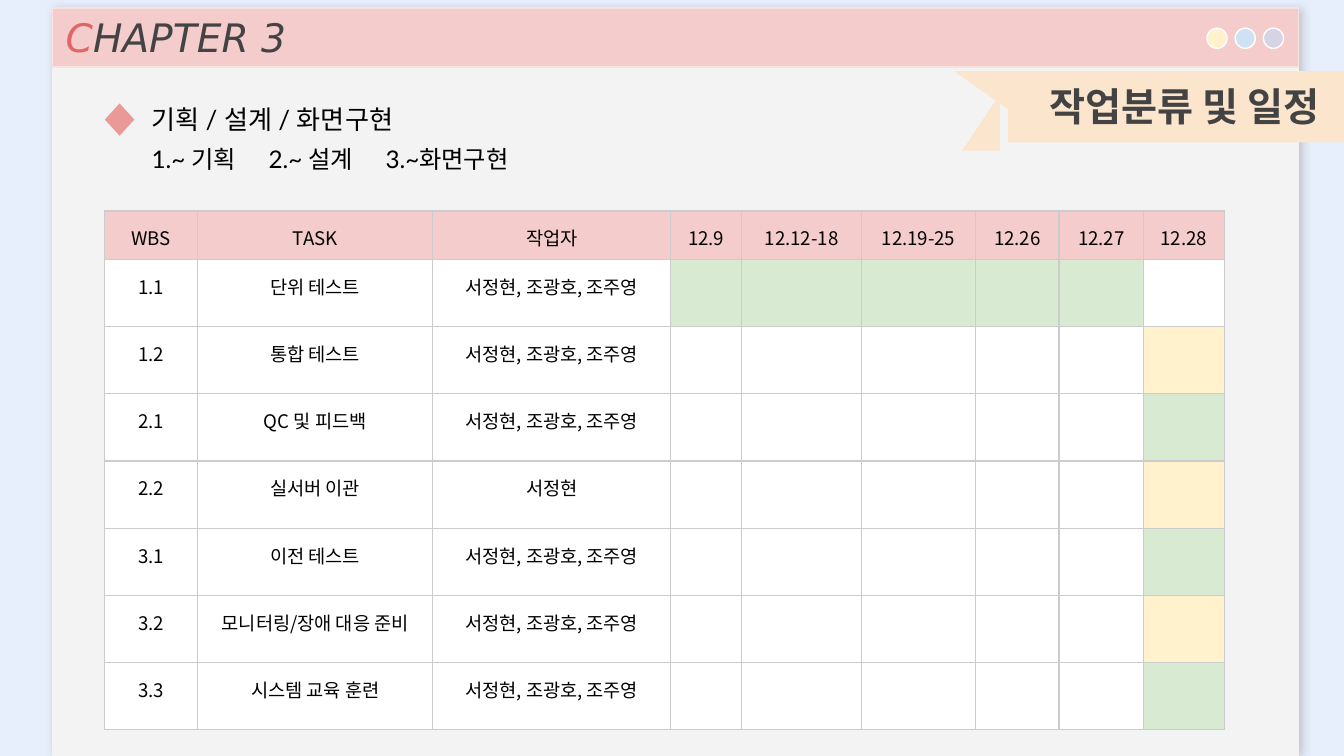
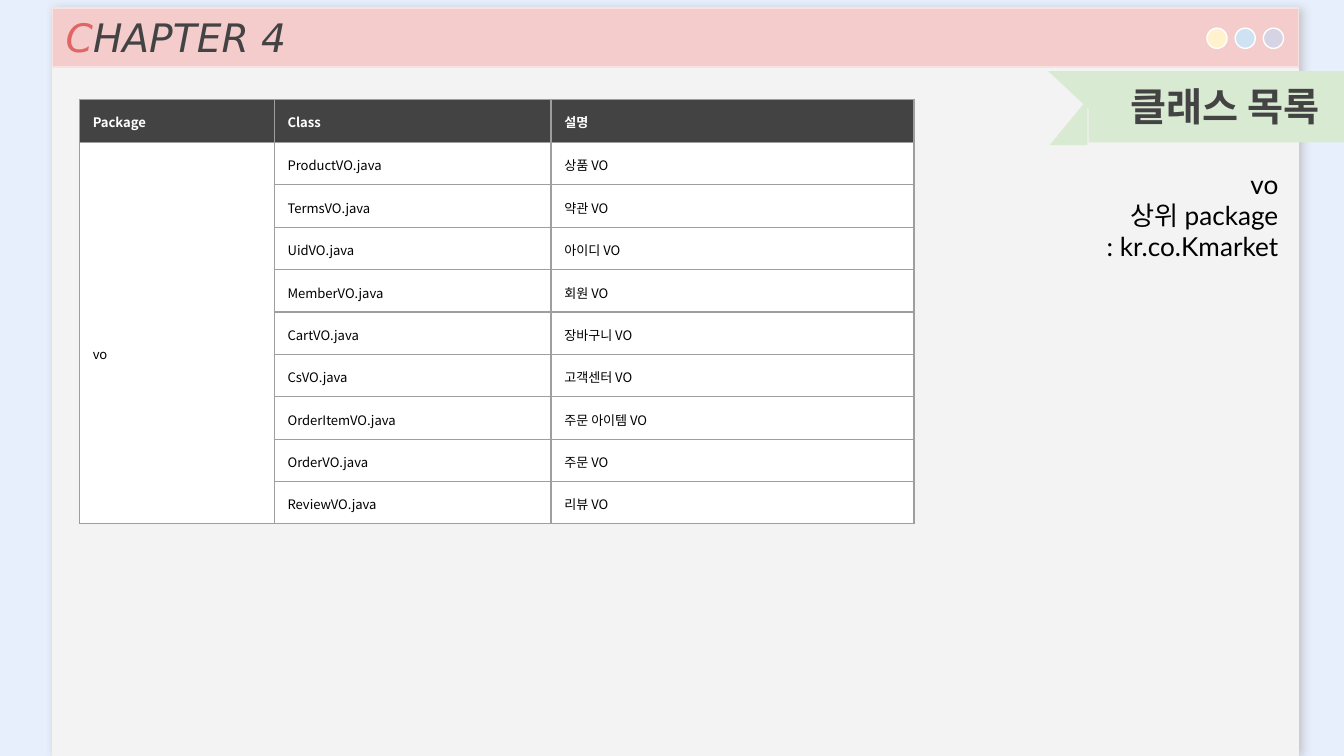
"""Build two chapter slides: a test schedule and a class list."""
from lxml import etree
from pptx import Presentation
from pptx.dml.color import RGBColor
from pptx.enum.shapes import MSO_SHAPE
from pptx.enum.text import MSO_ANCHOR, MSO_AUTO_SIZE, PP_ALIGN
from pptx.oxml.ns import qn
from pptx.util import Pt

RECT, OVAL = MSO_SHAPE.RECTANGLE, MSO_SHAPE.OVAL
DIAMOND, TRIANGLE = MSO_SHAPE.DIAMOND, MSO_SHAPE.RIGHT_TRIANGLE
LEFT, CENTER, RIGHT = PP_ALIGN.LEFT, PP_ALIGN.CENTER, PP_ALIGN.RIGHT
TOP, GROW = MSO_ANCHOR.TOP, MSO_AUTO_SIZE.SHAPE_TO_FIT_TEXT

EMU_PER_PX = 9144
SLIDE_WIDTH = 1000
COLORS = {
    "backdrop": "E7EFFD", "panel": "F3F3F3", "shadow": "B7B7B7",
    "band": "F4CCCC", "band_line": "F8E1E1", "accent": "E06666",
    "diamond": "EA9999", "dark": "434343", "black": "000000",
    "white": "FFFFFF", "lilac": "D6D4E4", "sky": "CFE2F3",
    "yellow": "FFF2CC", "green": "D9EAD3", "peach": "FCE5CD",
    "plan_grid": "CCCCCC", "class_grid": "9E9E9E",
}
STYLES = {
    "chapter": {"name": "DejaVu Sans", "size": Pt(21), "italic": True},
    "title": {"name": "Lato", "size": Pt(21), "bold": True},
    "lead": {"name": "Lato", "size": Pt(14), "bold": False},
    "steps": {"name": "Lato", "size": Pt(13), "bold": False},
    "plan": {"name": "Noto Sans CJK KR", "size": Pt(10), "bold": False},
    "class": {"name": "Noto Sans CJK KR", "size": Pt(7), "bold": False},
    "class_head": {"name": "Noto Sans CJK KR", "size": Pt(7), "bold": True},
}
MARGINS = {"margin_left": 10, "margin_right": 10, "margin_top": 10, "margin_bottom": 10}
CELL_MARGINS = {**MARGINS, "margin_bottom": 5}

TITLE_BOX = (743, 51, 249, 56)
DOTS = ["yellow", "sky", "lilac"]

SCHEDULE = {
    "chapter": "3", "title": "작업분류 및 일정", "color": "peach",
    "ribbon": {"banner": (750, 53, 253, 53), "notch": (710, 53, 41, 29),
               "fold": (716, 70, 28, 42)},
}
LEAD = "기획 / 설계 / 화면구현"
STEPS = ["1.~ 기획", "2.~ 설계", "3.~화면구현"]
STEP_STOPS = [87, 174]
TEAM = "서정현, 조광호, 조주영"
PLAN_HEAD = ["WBS", "TASK", "작업자", "12.9", "12.12-18", "12.19-25",
             "12.26", "12.27", "12.28"]
PLAN_WIDTHS = [69, 175, 177, 53, 89, 85, 62, 63, 60]
TASKS = [
    ("1.1", "단위 테스트", TEAM, "12.9", "12.27", "green"),
    ("1.2", "통합 테스트", TEAM, "12.28", "12.28", "yellow"),
    ("2.1", "QC 및 피드백", TEAM, "12.28", "12.28", "green"),
    ("2.2", "실서버 이관", "서정현", "12.28", "12.28", "yellow"),
    ("3.1", "이전 테스트", TEAM, "12.28", "12.28", "green"),
    ("3.2", "모니터링/장애 대응 준비", TEAM, "12.28", "12.28", "yellow"),
    ("3.3", "시스템 교육 훈련", TEAM, "12.28", "12.28", "green"),
]

CLASSES = {
    "chapter": "4", "title": "클래스 목록", "color": "green",
    "ribbon": {"banner": (810, 53, 193, 53), "notch": (780, 53, 31, 29),
               "fold": (781, 74, 28, 34)},
}
PACKAGE = "vo"
PACKAGE_NOTE = [PACKAGE, "상위 package", ": kr.co.Kmarket"]
PACKAGE_DROP = 150
CLASS_HEAD = ["Package", "Class", "설명"]
CLASS_WIDTHS = [145, 206, 270]
CLASS_ROWS = [
    ("ProductVO.java", "상품 VO"), ("TermsVO.java", "약관 VO"),
    ("UidVO.java", "아이디 VO"), ("MemberVO.java", "회원 VO"),
    ("CartVO.java", "장바구니 VO"), ("CsVO.java", "고객센터 VO"),
    ("OrderItemVO.java", "주문 아이템 VO"), ("OrderVO.java", "주문 VO"),
    ("ReviewVO.java", "리뷰 VO"),
]


def px(length):
    return length * EMU_PER_PX


def rgb(key):
    return RGBColor.from_string(COLORS[key])


def apply(target, values):
    for name, value in values.items():
        setattr(target, name, value)


def set_margins(target, margins):
    apply(target, {side: px(length) for side, length in margins.items()})


def paint(fill, key):
    fill.solid()
    fill.fore_color.rgb = rgb(key)


def add_figure(shapes, kind, box, fill, line=None):
    figure = shapes.add_shape(kind, *map(px, box))
    figure.shadow.inherit = False
    paint(figure.fill, fill)
    if line:
        figure.line.color.rgb = rgb(line)
        figure.line.width = Pt(0.75)
    else:
        figure.line.fill.background()
    return figure


def write(frame, paragraphs, style, align=LEFT):
    for index, runs in enumerate(paragraphs):
        paragraph = frame.paragraphs[0] if index == 0 else frame.add_paragraph()
        paragraph.alignment = align
        for text, color in runs:
            run = paragraph.add_run()
            run.text = text
            apply(run.font, STYLES[style])
            run.font.color.rgb = rgb(color)
            run._r.get_or_add_rPr().set("kern", "0")


def fill_box(box, paragraphs, style, align=LEFT):
    frame = box.text_frame
    apply(frame, {"word_wrap": True, "auto_size": GROW, "vertical_anchor": TOP})
    set_margins(frame, MARGINS)
    write(frame, paragraphs, style, align)
    return frame


def add_text(shapes, box, paragraphs, style, align=LEFT):
    return fill_box(shapes.add_textbox(*map(px, box)), paragraphs, style, align)


def cast_shadow(figure):
    effects = figure.fill._xPr.find(qn("a:effectLst"))
    shadow = etree.SubElement(effects, qn("a:outerShdw"), blurRad=str(Pt(4.5)),
                              dist=str(Pt(1.5)), dir="0", algn="bl", rotWithShape="0")
    tint = etree.SubElement(shadow, qn("a:srgbClr"), val=COLORS["shadow"])
    etree.SubElement(tint, qn("a:alpha"), val="80000")


def add_ribbon(slide, ribbon, color):
    shapes = slide.shapes.add_group_shape().shapes
    add_figure(shapes, TRIANGLE, ribbon["notch"], color).rotation = 180
    left, top, width, height = ribbon["fold"]
    shift = (height - width) // 2
    turned = (left - shift, top + shift, height, width)
    add_figure(shapes, TRIANGLE, turned, color).rotation = 270
    add_figure(shapes, RECT, ribbon["banner"], color)


def add_chapter_slide(deck, content):
    slide = deck.slides.add_slide(deck.slide_layouts[5])
    paint(slide.background.fill, "backdrop")
    cast_shadow(add_figure(slide.shapes, RECT, (39, 7, 927, 555), "panel", "panel"))

    band = slide.shapes.add_group_shape().shapes
    add_figure(band, RECT, (39, 6, 927, 44), "band", "band_line")
    for index, color in enumerate(DOTS):
        add_figure(band, OVAL, (898 + 21 * index, 21, 15, 15), color, "white")
    heading = [("C", "accent"), (f"HAPTER {content['chapter']}", "dark")]
    add_text(band, (39, 0, 469, 56), [heading], "chapter")

    add_ribbon(slide, content["ribbon"], content["color"])
    title = slide.shapes.title
    apply(title, dict(zip(("left", "top", "width", "height"), map(px, TITLE_BOX))))
    fill_box(title, [[(content["title"], "dark")]], "title", RIGHT)
    slide.shapes._spTree.append(title._element)
    return slide


def draw_borders(cell, color):
    properties = cell._tc.get_or_add_tcPr()
    for side in ("lnL", "lnR", "lnT", "lnB"):
        line = etree.SubElement(properties, qn(f"a:{side}"), w=str(Pt(0.75)))
        fill = etree.SubElement(line, qn("a:solidFill"))
        etree.SubElement(fill, qn("a:srgbClr"), val=COLORS[color])


def add_grid(slide, corner, widths, height, head_height, rows, grid, align=LEFT):
    frame = slide.shapes.add_table(len(rows), len(widths), *map(px, corner),
                                   px(sum(widths)), px(height))
    table = frame.table
    apply(table, {"first_row": False, "horz_banding": False})
    for column, width in zip(table.columns, widths):
        column.width = px(width)
    body_height = px(height - head_height) // (len(rows) - 1)
    for index, (row, entries) in enumerate(zip(table.rows, rows)):
        row.height = body_height if index else px(head_height)
        for cell, (text, fill, style, color) in zip(row.cells, entries):
            draw_borders(cell, grid)
            paint(cell.fill, fill)
            if text:
                set_margins(cell, CELL_MARGINS)
                write(cell.text_frame, [[(text, color)]], style, align)
    return table


def plan_row(wbs, task, workers, start, end, color):
    first, last = PLAN_HEAD.index(start), PLAN_HEAD.index(end)
    texts = [wbs, task, workers] + [""] * (len(PLAN_HEAD) - 3)
    return [(text, color if first <= column <= last else "white", "plan", "black")
            for column, text in enumerate(texts)]


def add_schedule(deck):
    slide = add_chapter_slide(deck, SCHEDULE)
    add_figure(slide.shapes, DIAMOND, (78, 77, 22, 24), "diamond")
    add_text(slide.shapes, (103, 67, 418, 44), [[(LEAD, "black")]], "lead")
    steps = add_text(slide.shapes, (103, 97, 418, 42),
                     [[("\t".join(STEPS), "black")]], "steps")
    properties = steps.paragraphs[0]._p.get_or_add_pPr()
    stops = etree.SubElement(properties, qn("a:tabLst"))
    for stop in STEP_STOPS:
        etree.SubElement(stops, qn("a:tab"), pos=str(px(stop)), algn="l")
    rows = [[(text, "band", "plan", "black") for text in PLAN_HEAD]]
    rows += [plan_row(*task) for task in TASKS]
    add_grid(slide, (78, 157), PLAN_WIDTHS, 386, 36, rows, "plan_grid", CENTER)


def add_class_list(deck):
    slide = add_chapter_slide(deck, CLASSES)
    rows = [[(text, "dark", "class_head", "white") for text in CLASS_HEAD]]
    for index, entry in enumerate(CLASS_ROWS):
        texts = ("" if index else PACKAGE, *entry)
        rows.append([(text, "white", "class", "black") for text in texts])
    table = add_grid(slide, (59, 74), CLASS_WIDTHS, 316, 32, rows, "class_grid")
    package = table.cell(1, 0)
    package.merge(table.cell(len(CLASS_ROWS), 0))
    package.margin_top = px(PACKAGE_DROP)
    add_text(slide.shapes, (772, 115, 189, 91),
             [[(line, "black")] for line in PACKAGE_NOTE], "lead", RIGHT)


def main():
    deck = Presentation()
    width = px(SLIDE_WIDTH)
    apply(deck, {"slide_width": width, "slide_height": width * 9 // 16})
    add_schedule(deck)
    add_class_list(deck)
    deck.save("out.pptx")


if __name__ == "__main__":
    main()
